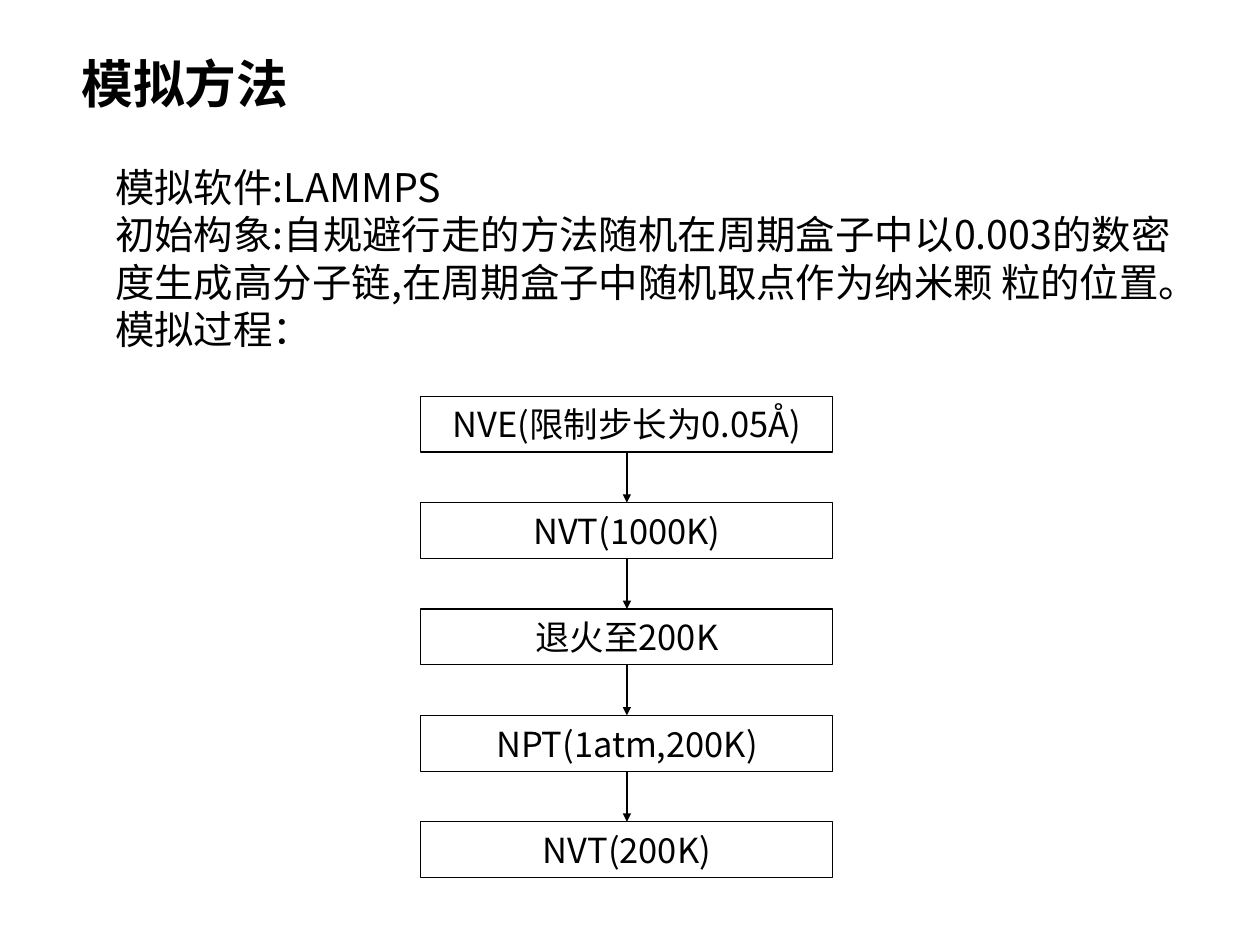
from dataclasses import dataclass

from lxml import etree
from pptx import Presentation
from pptx import util as u
from pptx.dml import color
from pptx.enum import shapes, text
from pptx.oxml import ns


@dataclass(frozen=True)
class Theme:
    """Colours, font and type sizes of the slide."""
    ink: color.RGBColor = color.RGBColor(0, 0, 0)
    paper: color.RGBColor = color.RGBColor(255, 255, 255)
    face: str = "Noto Sans CJK SC"
    title: int = 42
    body: int = 32
    step: int = 28
    leading: float = 1.2
    outline: float = 1
    arrow: float = 2.25


THEME = Theme()
TITLE = "模拟方法"
METHOD = [
    "模拟软件:LAMMPS",
    "初始构象:自规避行走的方法随机在周期盒子中以0.003的数密\t"
    "度生成高分子链,在周期盒子中随机取点作为纳米颗\t粒的位置。",
    "模拟过程：",
]
STEPS = ["NVE(限制步长为0.05Å)", "NVT(1000K)", "退火至200K", "NPT(1atm,200K)", "NVT(200K)"]


def apply(target, values):
    """Set each named attribute of the target."""
    for name, value in values.items():
        setattr(target, name, value)


def add_child(parent, tag, **attributes):
    """Append a DrawingML element and return it."""
    return etree.SubElement(parent, ns.qn(tag), attributes)


def write(frame, lines, size, bold=False, align=text.PP_ALIGN.LEFT, tab=None):
    """Fill a text frame with one paragraph per line."""
    for index, line in enumerate(lines):
        paragraph = frame.paragraphs[0] if index == 0 else frame.add_paragraph()
        apply(paragraph, {"alignment": align, "line_spacing": u.Pt(size * THEME.leading)})
        if tab:
            stops = add_child(paragraph._p.get_or_add_pPr(), "a:tabLst")
            add_child(stops, "a:tab", pos=str(tab), algn="l")
        run = paragraph.add_run()
        run.text = line
        apply(run.font, {"name": THEME.face, "size": u.Pt(size), "bold": bold})
        run.font.color.rgb = THEME.ink
        add_child(run._r.get_or_add_rPr(), "a:ea", typeface=THEME.face)


def add_title(slide, left, top, width, height):
    """Place the bold heading."""
    heading = slide.shapes.add_textbox(left, top, width, height)
    heading.text_frame.word_wrap = False
    write(heading.text_frame, [TITLE], THEME.title, bold=True)


def add_method(slide, left, top, width, height):
    """Place the description of software, starting state and process."""
    method = slide.shapes.add_textbox(left, top, width, height)
    method.text_frame.word_wrap = True
    write(method.text_frame, METHOD, THEME.body, tab=u.Inches(2))


def add_step(slide, label, left, top, width, height):
    """Place one outlined step of the process and return it."""
    step = slide.shapes.add_shape(shapes.MSO_SHAPE.RECTANGLE, left, top, width, height)
    step.shadow.inherit = False
    step.fill.solid()
    step.fill.fore_color.rgb = THEME.paper
    step.line.color.rgb = THEME.ink
    step.line.width = u.Pt(THEME.outline)
    apply(step.text_frame, {"word_wrap": True, "vertical_anchor": text.MSO_ANCHOR.MIDDLE})
    write(step.text_frame, [label], THEME.step, align=text.PP_ALIGN.CENTER)
    return step


def add_arrow(slide, upper, lower):
    """Join two steps with a downward arrow."""
    arrow = slide.shapes.add_connector(shapes.MSO_CONNECTOR.STRAIGHT, 0, 0, 0, 0)
    arrow.begin_connect(upper, 2)
    arrow.end_connect(lower, 0)
    arrow.line.color.rgb = THEME.ink
    arrow.line.width = u.Pt(THEME.arrow)
    add_child(arrow.line._get_or_add_ln(), "a:tailEnd", type="triangle")
    add_child(arrow._element.spPr, "a:effectLst")


def add_process(slide, left, top, width, height):
    """Stack the steps evenly in the box and join them with arrows."""
    step_height = u.Inches(0.63)
    pitch = (height - step_height) // (len(STEPS) - 1)
    steps = [add_step(slide, label, left, top + index * pitch, width, step_height)
             for index, label in enumerate(STEPS)]
    for upper, lower in zip(steps, steps[1:]):
        add_arrow(slide, upper, lower)


def main():
    """Build and save the slide."""
    deck = Presentation()
    apply(deck, {"slide_width": u.Inches(14.22), "slide_height": u.Inches(10.66)})
    slide = deck.slides.add_slide(deck.slide_layouts[6])
    regions = {
        add_title: (0.82, 0.53, 2.53, 0.8),
        add_method: (1.2, 1.79, 12.29, 2.77),
        add_process: (4.75, 4.47, 4.65, 5.43),
    }
    for add_region, box in regions.items():
        add_region(slide, *map(u.Inches, box))
    deck.save("out.pptx")


if __name__ == "__main__":
    main()
